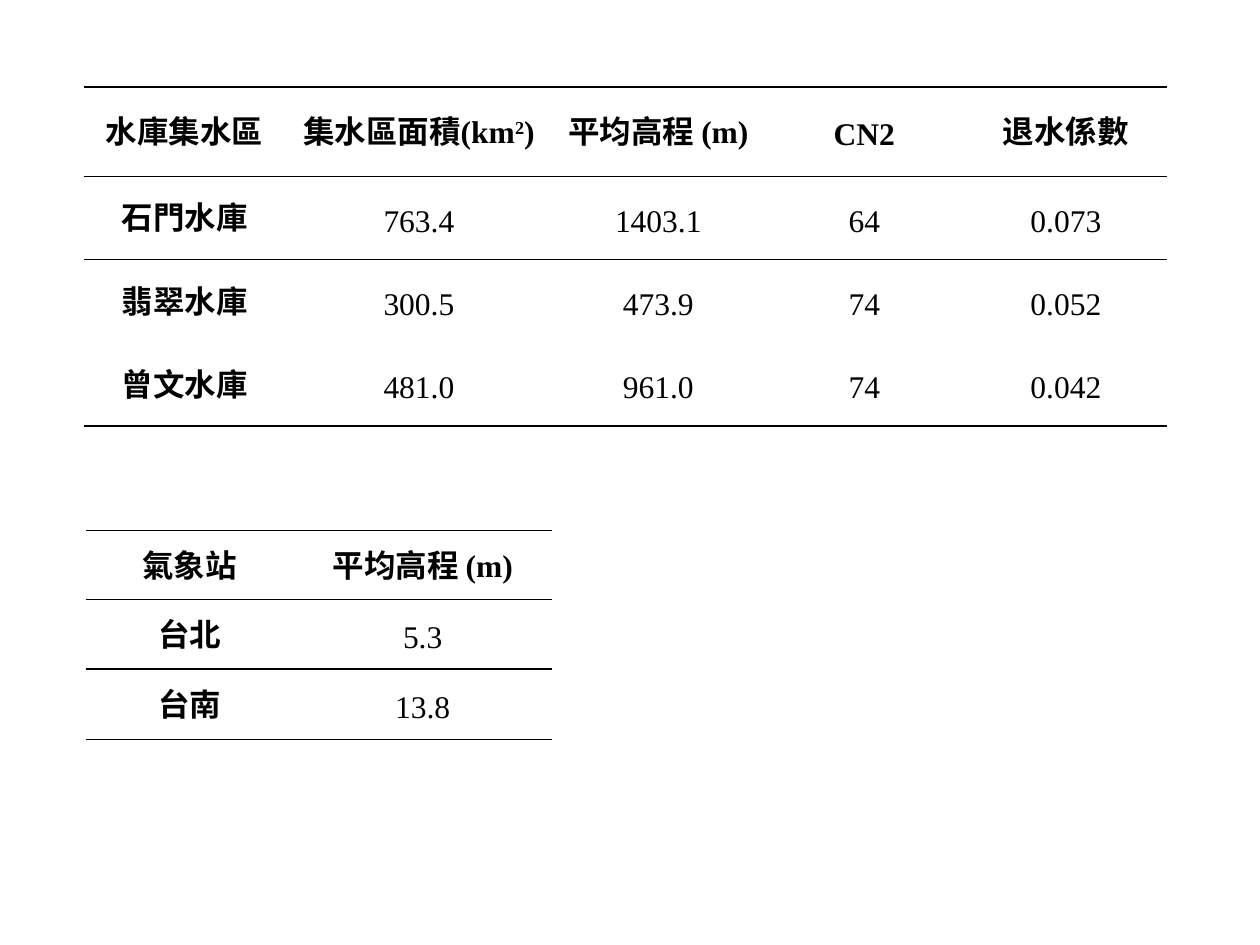
from lxml import etree
from pptx import Presentation
from pptx.dml.color import RGBColor
from pptx.enum.text import MSO_ANCHOR, PP_ALIGN
from pptx.oxml.ns import qn
from pptx.util import Inches, Pt

CENTER = PP_ALIGN.CENTER
MIDDLE = MSO_ANCHOR.MIDDLE
PLAIN_TABLE_STYLE = "{2D5ABB26-0587-4C30-8999-92F81FD0307C}"


def color(hex_text):
    return RGBColor.from_string(hex_text)


class TableSlide:
    font_name = "Times New Roman"
    font_size = Pt(18)
    line_spacing = Pt(24)
    ink = "000000"
    rule_width = Pt(1)

    def __init__(self, slide):
        self.slide = slide

    def add_table(self, left, top, column_widths, row_heights, rows):
        frame = self.slide.shapes.add_table(
            len(rows), len(column_widths), Inches(left), Inches(top),
            Inches(sum(column_widths)), Inches(sum(row_heights)))
        table = frame.table
        table.first_row = table.horz_banding = False
        frame._element.find(".//" + qn("a:tableStyleId")).text = PLAIN_TABLE_STYLE
        for column, width in zip(table.columns, column_widths):
            column.width = Inches(width)
        for row, height in zip(table.rows, row_heights):
            row.height = Inches(height)

        last_row = len(rows) - 1
        for row_index, texts in enumerate(rows):
            for column_index, text in enumerate(texts):
                cell = table.cell(row_index, column_index)
                self.write_cell(cell, text, row_index == 0 or column_index == 0)
                if row_index == 0:
                    self.add_rule(cell, "a:lnT")
                if row_index in (0, last_row):
                    self.add_rule(cell, "a:lnB")
                if row_index == 1:
                    self.add_rule(cell, "a:lnT")
                cell.fill.background()

    def write_cell(self, cell, text, bold):
        """Text between two carets is set as superscript."""
        cell.vertical_anchor = MIDDLE
        cell.margin_left = cell.margin_right = Inches(0.07)
        cell.margin_top = cell.margin_bottom = 0
        paragraph = cell.text_frame.paragraphs[0]
        paragraph.alignment = CENTER
        paragraph.line_spacing = self.line_spacing
        for index, part in enumerate(text.split("^")):
            run = paragraph.add_run()
            run.text = part
            run.font.name = self.font_name
            run.font.size = self.font_size
            run.font.bold = bold
            run.font.color.rgb = color(self.ink)
            if index % 2:
                run._r.get_or_add_rPr().set("baseline", "30000")

    def add_rule(self, cell, edge):
        properties = cell._tc.get_or_add_tcPr()
        line = etree.SubElement(properties, qn(edge), w=str(self.rule_width))
        fill = etree.SubElement(line, qn("a:solidFill"))
        etree.SubElement(fill, qn("a:srgbClr"), val=self.ink)


presentation = Presentation()
presentation.slide_width = Inches(10)
presentation.slide_height = Inches(7.5)
page = TableSlide(presentation.slides.add_slide(presentation.slide_layouts[6]))

# Reservoir catchments
page.add_table(0.67, 0.69, [1.59, 2.13, 1.67, 1.6, 1.6], [0.71] + [0.66] * 3, [
    ["水庫集水區", "集水區面積(km^2^)", "平均高程 (m)", "CN2", "退水係數"],
    ["石門水庫", "763.4", "1403.1", "64", "0.073"],
    ["翡翠水庫", "300.5", "473.9", "74", "0.052"],
    ["曾文水庫", "481.0", "961.0", "74", "0.042"],
])

# Weather stations
page.add_table(0.68, 4.21, [1.65, 2.05], [0.55, 0.55, 0.56], [
    ["氣象站", "平均高程 (m)"],
    ["台北", "5.3"],
    ["台南", "13.8"],
])

presentation.save("out.pptx")
